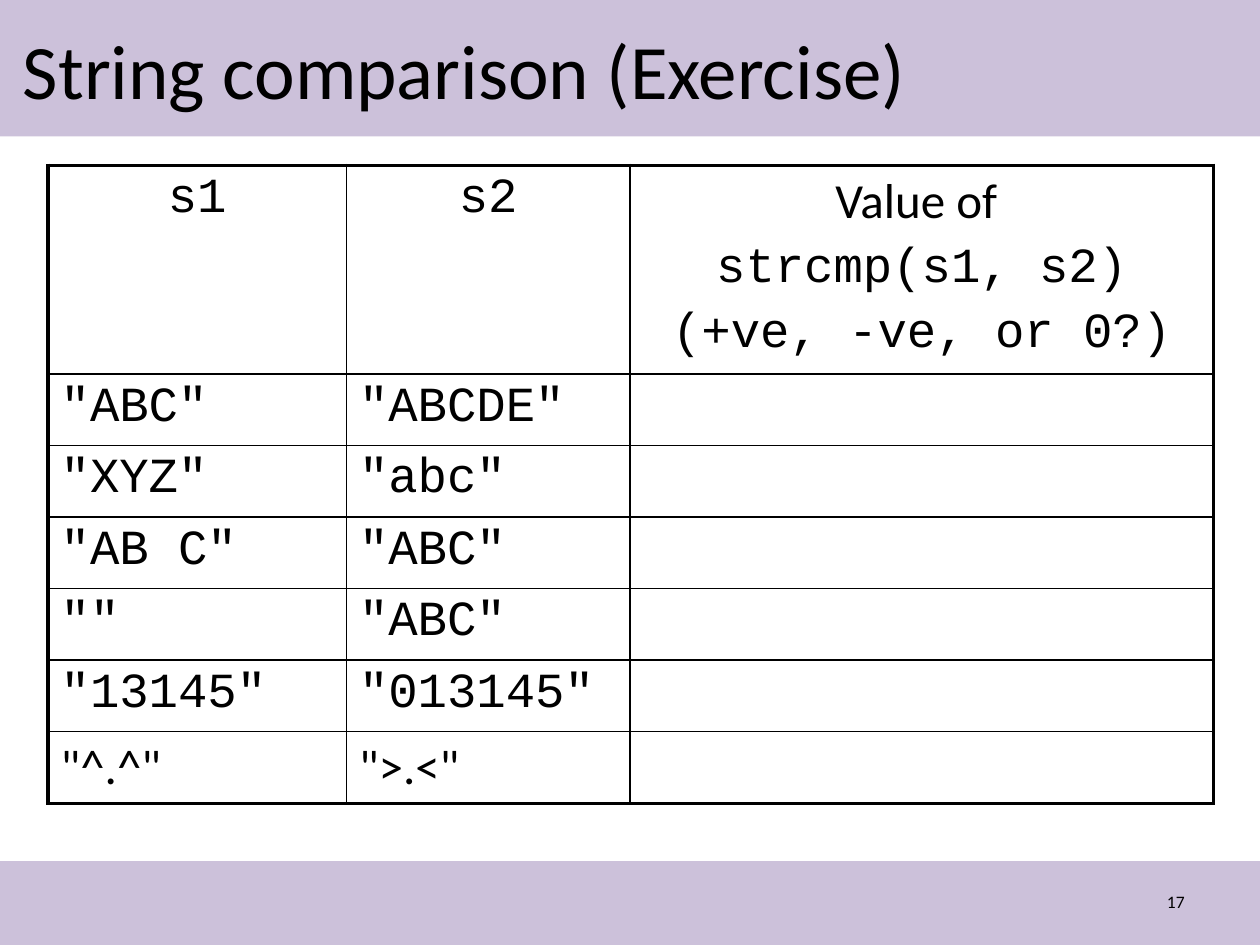
from lxml.etree import SubElement
from pptx import Presentation
from pptx.dml.color import RGBColor
from pptx.enum.shapes import MSO_SHAPE
from pptx.enum.text import MSO_ANCHOR, PP_ALIGN
from pptx.oxml.ns import qn
from pptx.util import Pt

COLORS = {"band": "CCC1DA", "text": "000000", "cell": "FFFFFF", "border": "000000"}
SANS, MONO = "Calibri", "Courier New"
THICK, THIN = 2.25, 1

COLUMN_WIDTHS = [170.5, 162, 333.5]
ROW_HEIGHTS = [116, 39, 39, 39, 39, 39, 41]
HEADER = [
    [("s1", MONO)],
    [("s2", MONO)],
    [("Value of ", SANS), ("strcmp(s1, s2)", MONO), ("(+ve, -ve, or 0?)", MONO)],
]
EXERCISES = [
    ('"ABC"', '"ABCDE"', MONO),
    ('"XYZ"', '"abc"', MONO),
    ('"AB C"', '"ABC"', MONO),
    ('""', '"ABC"', MONO),
    ('"13145"', '"013145"', MONO),
    ('"^.^"', '">.<"', SANS),
]


def rgb(name):
    """Return the named colour."""
    return RGBColor.from_string(COLORS[name])


def style(p, size, font, align=PP_ALIGN.LEFT):
    """Set the font and alignment of a paragraph."""
    p.alignment = align
    p.font.size = Pt(size)
    p.font.name = font
    p.font.color.rgb = rgb("text")


def add_band(slide, top, height):
    """Add a coloured band across the slide."""
    sp = slide.shapes.add_shape(MSO_SHAPE.RECTANGLE, 0, Pt(top), Pt(720), Pt(height))
    sp.shadow.inherit = False
    sp.fill.solid()
    sp.fill.fore_color.rgb = rgb("band")
    sp.line.fill.background()


def add_text(slide, text, box, size, align=PP_ALIGN.LEFT):
    """Add a vertically centred line of text."""
    tf = slide.shapes.add_textbox(*map(Pt, box)).text_frame
    tf.word_wrap = True
    tf.vertical_anchor = MSO_ANCHOR.MIDDLE
    p = tf.paragraphs[0]
    p.text = text
    style(p, size, SANS, align)


def set_borders(cell, widths):
    """Draw the left, right, top and bottom borders of a cell."""
    tc_pr = cell._tc.get_or_add_tcPr()
    for i, (side, width) in enumerate(zip("LRTB", widths)):
        ln = SubElement(tc_pr, qn(f"a:ln{side}"), w=str(Pt(width)))
        fill = SubElement(ln, qn("a:solidFill"))
        SubElement(fill, qn("a:srgbClr"), val=COLORS["border"])
        tc_pr.insert(i, ln)


def fill_cell(cell, lines, align):
    """Write styled lines into a white cell."""
    cell.fill.solid()
    cell.fill.fore_color.rgb = rgb("cell")
    tf = cell.text_frame
    for i, (text, font) in enumerate(lines):
        p = tf.add_paragraph() if i else tf.paragraphs[0]
        if text:
            p.text = text
        style(p, 28, font, align)
        if i:
            p.space_before = Pt(5.6)


def add_exercise_table(slide):
    """Add the comparison table with a heavy outer frame."""
    rows = [HEADER] + [[[(s1, font)], [(s2, font)], [("", font)]]
                       for s1, s2, font in EXERCISES]
    last_row, last_col = len(rows) - 1, len(HEADER) - 1
    frame = slide.shapes.add_table(len(rows), len(HEADER), Pt(27.5), Pt(94.5),
                                   Pt(sum(COLUMN_WIDTHS)), Pt(sum(ROW_HEIGHTS)))
    table = frame.table
    for column, width in zip(table.columns, COLUMN_WIDTHS):
        column.width = Pt(width)
    for r, row in enumerate(rows):
        table.rows[r].height = Pt(ROW_HEIGHTS[r])
        align = PP_ALIGN.LEFT if r else PP_ALIGN.CENTER
        for c, lines in enumerate(row):
            cell = table.cell(r, c)
            fill_cell(cell, lines, align)
            outer = (c == 0, c == last_col, r == 0, r == last_row)
            set_borders(cell, [THICK if edge else THIN for edge in outer])


def main():
    """Build the slide and save it."""
    prs = Presentation()
    prs.slide_width, prs.slide_height = Pt(720), Pt(540)
    slide = prs.slides.add_slide(prs.slide_layouts[6])
    add_band(slide, 0, 78)
    add_band(slide, 492, 48)
    add_text(slide, "17", (516, 500.5, 168, 28.8), 10, PP_ALIGN.RIGHT)
    add_exercise_table(slide)
    add_text(slide, "String comparison (Exercise)", (6, 6, 708, 66), 44)
    prs.save("out.pptx")


main()
